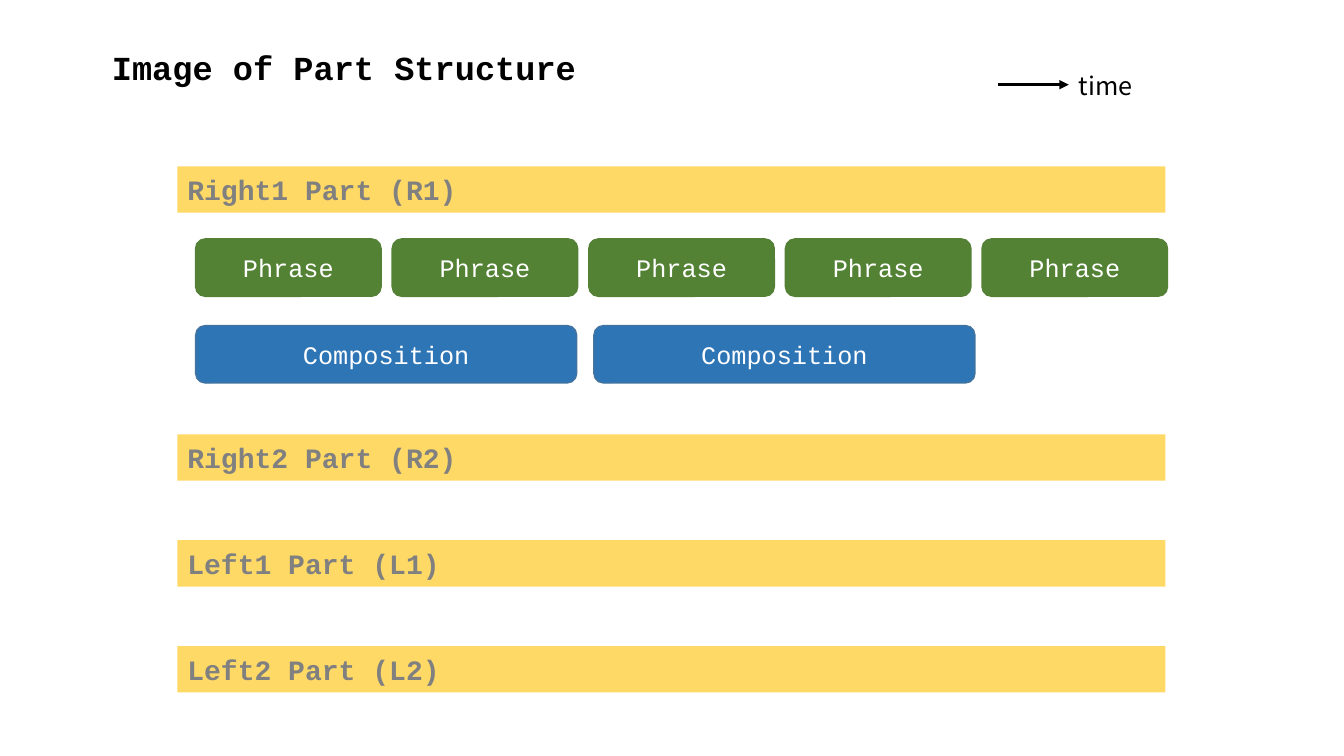
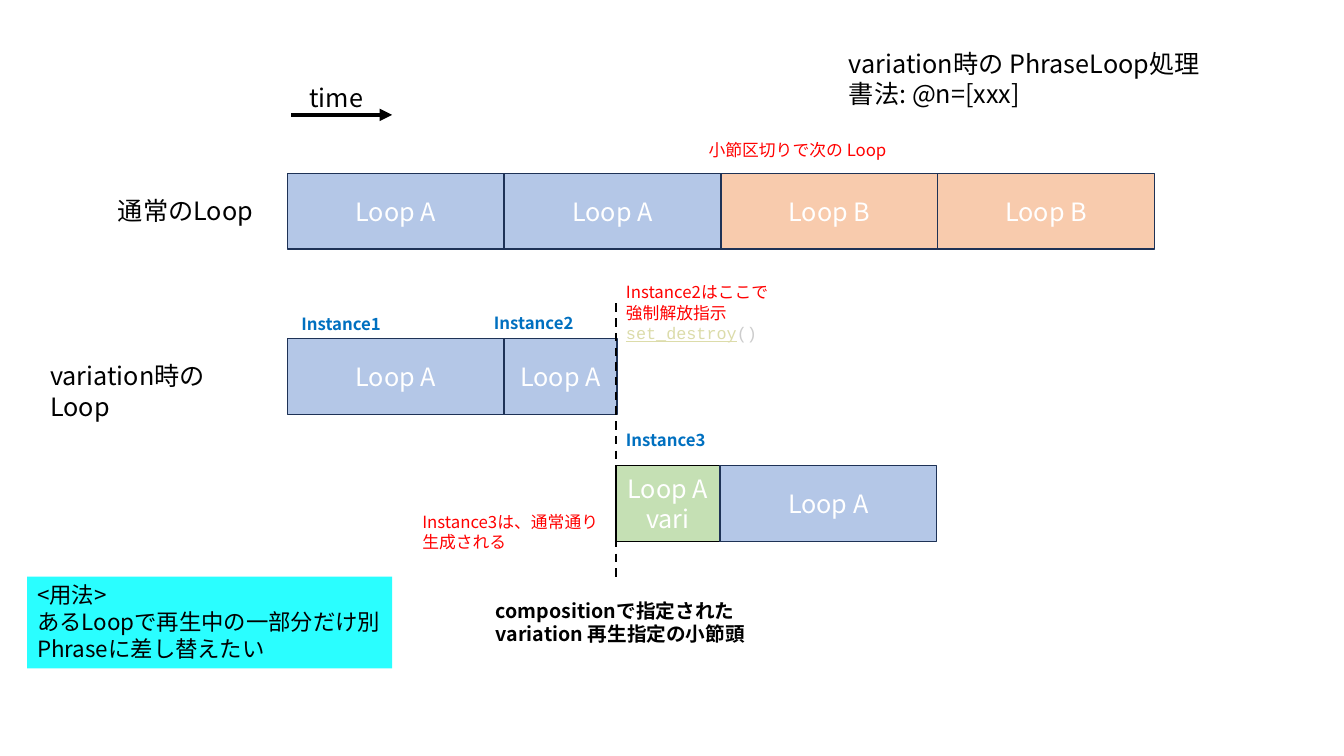
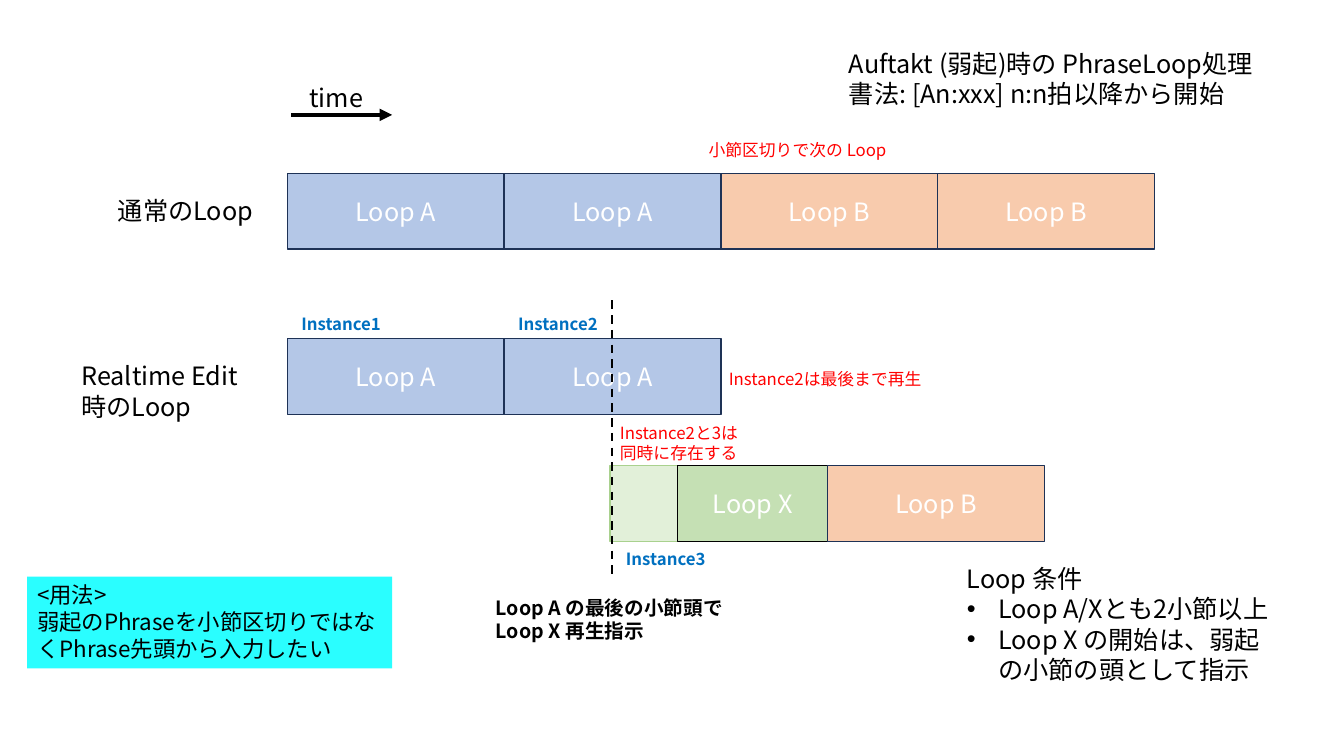
"""Builds three slides on musical part structure and phrase loop timing."""
from lxml import etree
from pptx import Presentation
from pptx import util as u
from pptx.dml.color import RGBColor
from pptx.enum import dml, shapes, text
from pptx.oxml.ns import qn

BLACK = RGBColor(0x00, 0x00, 0x00)
WHITE = RGBColor(0xFF, 0xFF, 0xFF)
GRAY = RGBColor(0x80, 0x80, 0x80)
RED = RGBColor(0xFF, 0x00, 0x00)
BLUE = RGBColor(0x00, 0x70, 0xC0)
CODE_NAME = RGBColor(0xDC, 0xDC, 0xAA)
CODE_MARK = RGBColor(0xCC, 0xCC, 0xCC)
PART = RGBColor(0xFF, 0xD9, 0x66)
PHRASE = RGBColor(0x54, 0x82, 0x35)
PHRASE_EDGE = RGBColor(0x53, 0x80, 0x35)
COMPOSITION = RGBColor(0x2E, 0x75, 0xB6)
COMPOSITION_EDGE = RGBColor(0x43, 0x73, 0x9E)
LOOP_A = RGBColor(0xB4, 0xC7, 0xE7)
LOOP_B = RGBColor(0xF8, 0xCB, 0xAD)
LOOP_NEW = RGBColor(0xC5, 0xE0, 0xB4)
LOOP_EDGE = RGBColor(0x1E, 0x32, 0x56)
PICKUP = RGBColor(0xE2, 0xF0, 0xD9)
PICKUP_EDGE = RGBColor(0xA9, 0xD1, 0x8E)
USAGE = RGBColor(0x2A, 0xFE, 0xFF)

MONO = "Courier New"
SANS = "Noto Sans CJK JP"
RECT = shapes.MSO_SHAPE.RECTANGLE
ROUND = shapes.MSO_SHAPE.ROUNDED_RECTANGLE
CENTER = text.PP_ALIGN.CENTER
LEFT = text.PP_ALIGN.LEFT

LAYOUT_LIST, LAYOUT_TITLE = 1, 5
LOOP_LEFT, LOOP_W, LOOP_H = 2.85, 2.15, 0.75
ROW_NORMAL, ROW_PLAYING, ROW_NEW = 1.72, 3.36, 4.62


def box(left, top, width, height):
    """Return a frame in inches as lengths."""
    return [u.Inches(v) for v in (left, top, width, height)]


def add_run(p, words, size=18, color=BLACK, bold=False, font=SANS, underline=False):
    """Add one formatted run to a paragraph."""
    r = p.add_run()
    r.text = words
    r.font.size = u.Pt(size)
    r.font.bold = bold
    r.font.underline = underline
    r.font.color.rgb = color
    r.font.name = font
    r.font._element.find(qn("a:latin")).addnext(
        r.font._element.makeelement(qn("a:ea"), {"typeface": font}))


def write(tf, lines, align=LEFT, **style):
    """Fill a text frame with one paragraph per line."""
    tf.word_wrap = True
    for i, line in enumerate(lines):
        p = tf.paragraphs[0] if i == 0 else tf.add_paragraph()
        p.alignment = align
        add_run(p, line, **style)


def add_slide(prs, layout, frame, lines, **style):
    """Add a slide whose title placeholder sits at the frame."""
    s = prs.slides.add_slide(prs.slide_layouts[layout])
    sp = s.shapes.title
    sp.left, sp.top, sp.width, sp.height = box(*frame)
    tf = sp.text_frame
    tf.auto_size = text.MSO_AUTO_SIZE.NONE
    tf.vertical_anchor = text.MSO_ANCHOR.TOP
    write(tf, lines, **style)
    return s


def add_label(s, frame, *lines, fill=None, **style):
    """Add a wrapping text box, filled if a colour is given."""
    sp = s.shapes.add_textbox(*box(*frame))
    if fill is not None:
        sp.fill.solid()
        sp.fill.fore_color.rgb = fill
    write(sp.text_frame, lines, **style)
    sp.text_frame.auto_size = text.MSO_AUTO_SIZE.SHAPE_TO_FIT_TEXT
    return sp


def add_block(s, kind, frame, label, fill, edge=None, align=CENTER, **style):
    """Add a filled preset shape with a one-paragraph label."""
    sp = s.shapes.add_shape(kind, *box(*frame))
    sp.shadow.inherit = False
    sp.fill.solid()
    sp.fill.fore_color.rgb = fill
    if edge is None:
        sp.line.fill.background()
    else:
        sp.line.color.rgb = edge
        sp.line.width = u.Pt(1)
    sp.text_frame.vertical_anchor = text.MSO_ANCHOR.MIDDLE
    if label:
        write(sp.text_frame, [label], align=align, **style)


def add_line(s, x1, y1, x2, y2, width, arrow=False, dashed=False):
    """Add a straight black line, optionally dashed or with an arrowhead."""
    ends = [u.Inches(v) for v in (x1, y1, x2, y2)]
    cxn = s.shapes.add_connector(shapes.MSO_CONNECTOR.STRAIGHT, *ends)
    cxn.line.color.rgb = BLACK
    cxn.line.width = u.Pt(width)
    if dashed:
        cxn.line.dash_style = dml.MSO_LINE.DASH
    if arrow:
        etree.SubElement(cxn.line._get_or_add_ln(), qn("a:tailEnd"), type="triangle")
    etree.SubElement(cxn._element.spPr, qn("a:effectLst"))


def add_loops(s, left, top, loops):
    """Add loop blocks end to end, each a (label, width, fill, edge)."""
    for label, width, fill, edge in loops:
        add_block(s, RECT, (left, top, width, LOOP_H), label, fill, edge, color=WHITE)
        left += width


def add_note(s, left, top, width, words, height=0.3):
    """Add a small red remark."""
    return add_label(s, (left, top, width, height), words, size=12, color=RED)


def add_instances(s, places):
    """Add numbered instance names at the given left and top places."""
    for number, (left, top) in enumerate(places, 1):
        add_label(s, (left, top, 1.12, 0.3), f"Instance{number}",
                  size=12, color=BLUE, bold=True)


def add_timeline(prs, layout, title, usage):
    """Add a loop slide with its title, time arrow, normal row and usage box."""
    s = add_slide(prs, layout, (8.32, 0.43, 4.32, 0.71), title)
    loop_a = ("Loop A", LOOP_W, LOOP_A, LOOP_EDGE)
    loop_b = ("Loop B", LOOP_W, LOOP_B, LOOP_EDGE)
    add_loops(s, LOOP_LEFT, ROW_NORMAL, [loop_a] * 2 + [loop_b] * 2)
    add_label(s, (1.07, 1.89, 1.55, 0.4), "通常のLoop")
    add_note(s, 6.93, 1.34, 2.36, "小節区切りで次の Loop")
    add_line(s, 2.89, 1.14, 3.89, 1.14, 3, arrow=True)
    add_label(s, (2.89, 0.77, 0.89, 0.4), "time", align=CENTER)
    add_label(s, (0.27, 5.72, 3.62, 0.91), "<用法>", usage, fill=USAGE, size=16)
    return s


def fill_list(sp, frame, heading, items):
    """Place a body placeholder and write a heading with bulleted items."""
    sp.left, sp.top, sp.width, sp.height = box(*frame)
    tf = sp.text_frame
    tf.auto_size = text.MSO_AUTO_SIZE.NONE
    write(tf, [heading, *items])
    for i, p in enumerate(tf.paragraphs):
        p.space_before = u.Pt(0)
        pPr = p._p.get_or_add_pPr()
        indent = u.Inches(0.31) if i else 0
        pPr.set("marL", str(indent))
        pPr.set("indent", str(-indent))
        if i:
            etree.SubElement(pPr, qn("a:buChar"), char="•")
        else:
            etree.SubElement(pPr, qn("a:buNone"))


def part_structure(prs):
    """Build the slide of parts, phrases and compositions."""
    s = add_slide(prs, LAYOUT_TITLE, (1.01, 0.42, 4.87, 0.5),
                  ["Image of Part Structure"], size=24, bold=True, font=MONO)
    parts = [("Right1 Part (R1)", 1.65)]
    names = ("Right2 Part (R2)", "Left1 Part (L1)", "Left2 Part (L2)")
    parts += [(name, 4.31 + 1.05 * i) for i, name in enumerate(names)]
    for name, top in parts:
        add_block(s, RECT, (1.76, top, 9.8, 0.46), name, PART, align=LEFT,
                  size=20, color=GRAY, bold=True, font=MONO)
    for label, count, top, width, step, fill, edge in (
            ("Phrase", 5, 2.37, 1.84, 1.95, PHRASE, PHRASE_EDGE),
            ("Composition", 2, 3.23, 3.78, 3.95, COMPOSITION, COMPOSITION_EDGE)):
        for i in range(count):
            add_block(s, ROUND, (1.94 + step * i, top, width, 0.57), label,
                      fill, edge, color=WHITE, font=MONO)
    add_line(s, 9.9, 0.84, 10.6, 0.84, 2.25, arrow=True)
    add_label(s, (10.6, 0.65, 0.84, 0.4), "time")


def variation_loop(prs):
    """Build the slide on loops during a variation."""
    s = add_timeline(prs, LAYOUT_TITLE, ["variation時の PhraseLoop処理", "書法: @n=[xxx]"],
                     "あるLoopで再生中の一部分だけ別Phraseに差し替えたい")
    switch = 6.11
    add_label(s, (0.4, 3.53, 2.3, 0.4), "variation時のLoop")
    add_loops(s, LOOP_LEFT, ROW_PLAYING, [("Loop A", LOOP_W, LOOP_A, LOOP_EDGE),
                                          ("Loop A", 1.12, LOOP_A, LOOP_EDGE)])
    add_loops(s, switch, ROW_NEW, [("Loop A vari", 1.03, LOOP_NEW, BLACK),
                                   ("Loop A", LOOP_W, LOOP_A, LOOP_EDGE)])
    add_line(s, switch, 3.01, switch, 5.72, 1.5, dashed=True)
    sp = add_note(s, switch, 2.75, 1.71, "Instance2はここで強制解放指示", 0.71)
    p = sp.text_frame.paragraphs[0]
    p.add_line_break()
    add_run(p, "set_destroy", 12, CODE_NAME, font=MONO, underline=True)
    add_run(p, "()", 12, CODE_MARK, font=MONO)
    add_instances(s, [(2.89, 3.06), (4.8, 3.05), (switch, 4.21)])
    add_note(s, 4.09, 5.03, 2.06, "Instance3は、通常通り生成される", 0.5)
    add_label(s, (4.82, 5.89, 2.7, 0.57),
              "compositionで指定された variation 再生指定の小節頭", size=14, bold=True)


def upbeat_loop(prs):
    """Build the slide on loops that start on an upbeat."""
    s = add_timeline(prs, LAYOUT_LIST,
                     ["Auftakt (弱起)時の PhraseLoop処理", "書法: [An:xxx] n:n拍以降から開始"],
                     "弱起のPhraseを小節区切りではなくPhrase先頭から入力したい")
    add_label(s, (0.71, 3.53, 2, 0.71), "Realtime Edit時のLoop")
    add_loops(s, LOOP_LEFT, ROW_PLAYING, [("Loop A", LOOP_W, LOOP_A, LOOP_EDGE)] * 2)
    add_loops(s, 6.05, ROW_NEW, [("", 0.67, PICKUP, PICKUP_EDGE),
                                 ("Loop X", 1.49, LOOP_NEW, BLACK),
                                 ("Loop B", LOOP_W, LOOP_B, LOOP_EDGE)])
    add_line(s, 6.07, 2.98, 6.07, 5.7, 1.5, dashed=True)
    add_instances(s, [(2.89, 3.06), (5.04, 3.06), (6.11, 5.39)])
    add_note(s, 7.13, 3.61, 2.36, "Instance2は最後まで再生")
    add_note(s, 6.05, 4.14, 1.49, "Instance2と3は同時に存在する", 0.5)
    add_label(s, (4.82, 5.86, 2.5, 0.57),
              "Loop A の最後の小節頭で Loop X 再生指示", size=14, bold=True)
    fill_list(s.placeholders[1], (9.49, 5.54, 3.33, 1.31), "Loop 条件",
              ["Loop A/Xとも2小節以上", "Loop X の開始は、弱起の小節の頭として指示"])


def main():
    """Build and save the presentation."""
    prs = Presentation()
    prs.slide_width, prs.slide_height = u.Inches(13.33), u.Inches(7.5)
    part_structure(prs)
    variation_loop(prs)
    upbeat_loop(prs)
    prs.save("out.pptx")


if __name__ == "__main__":
    main()
